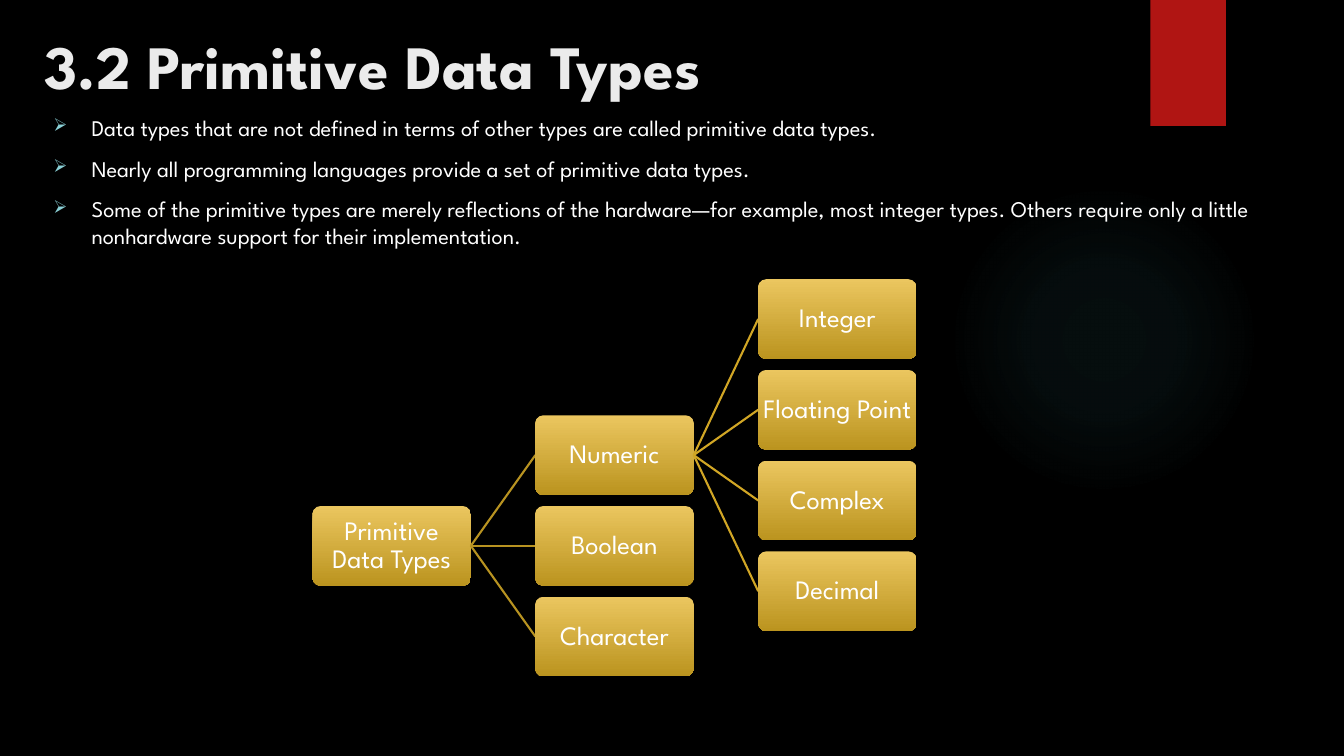
"""Build a slide on primitive data types with a tree of boxes."""
import pptx
import pptx.util
import pptx.dml.color
import pptx.enum.shapes
import pptx.enum.text
import pptx.oxml
import pptx.oxml.ns

Inches = pptx.util.Inches
Pt = pptx.util.Pt
Kind = pptx.enum.shapes.MSO_SHAPE
Align = pptx.enum.text.PP_ALIGN
Anchor = pptx.enum.text.MSO_ANCHOR
NS = pptx.oxml.ns.nsdecls("a")

POINTS = [
    "Data types that are not defined in terms of other types are called primitive data types.",
    "Nearly all programming languages provide a set of primitive data types.",
    "Some of the primitive types are merely reflections of the hardware—for example, most integer "
    "types. Others require only a little nonhardware support for their implementation.",
]
TREE = ("Primitive Data Types", [
    ("Numeric", [("Integer", []), ("Floating Point", []), ("Complex", []), ("Decimal", [])]),
    ("Boolean", []),
    ("Character", []),
])


def color(hue):
    return pptx.dml.color.RGBColor.from_string(hue)


def write(para, text, size=16, hue="FFFFFF", bold=False, align=Align.LEFT, lead=None, before=0):
    para.alignment = align
    para.line_spacing = lead
    para.space_before = Pt(before)
    run = para.add_run()
    run.text = text
    font = run.font
    font.name, font.size, font.bold = "League Spartan", Pt(size), bold
    font.color.rgb = color(hue)


class Deck:
    wide, high = 1.57, 0.79
    step, pitch = 2.21, 0.9
    gold = [(0, "EBC65F", 100), (100, "BB941F", 100)]
    lines = ["B89321", "D1A625"]

    def __init__(self):
        self.file = pptx.Presentation()
        self.file.slide_width = Inches(13.33)
        self.file.slide_height = Inches(7.5)
        self.slide = self.file.slides.add_slide(self.file.slide_layouts[5])
        back = self.slide.background.fill
        back.solid()
        back.fore_color.rgb = color("000000")

    def shape(self, kind, x, y, w, h):
        item = self.slide.shapes.add_shape(kind, Inches(x), Inches(y), Inches(w), Inches(h))
        item.shadow.inherit = False
        item.line.fill.background()
        return item

    def blend(self, item, stops, shade):
        marks = "".join(
            f'<a:gs pos="{pos * 1000}"><a:srgbClr val="{hue}"><a:alpha val="{alpha * 1000}"/>'
            "</a:srgbClr></a:gs>" for pos, hue, alpha in stops)
        grad = pptx.oxml.parse_xml(
            f'<a:gradFill {NS} rotWithShape="1"><a:gsLst>{marks}</a:gsLst>{shade}</a:gradFill>')
        item._element.spPr.find(pptx.oxml.ns.qn("a:prstGeom")).addnext(grad)

    def glow(self, x, y, size):
        item = self.shape(Kind.OVAL, x, y, size, size)
        stops = [(0, "50B9C1", 7), (36, "50B9C1", 6), (69, "50B9C1", 0)]
        self.blend(item, stops, '<a:path path="circle"><a:fillToRect l="50000" t="50000" '
                                'r="50000" b="50000"/></a:path>')

    def flag(self, x, y, w, h):
        item = self.shape(Kind.RECTANGLE, x, y, w, h)
        item.fill.solid()
        item.fill.fore_color.rgb = color("B01513")

    def title(self, text, x, y, w, h):
        item = self.slide.shapes.title
        item.left, item.top, item.width, item.height = map(Inches, (x, y, w, h))
        frame = item.text_frame
        frame.auto_size = pptx.enum.text.MSO_AUTO_SIZE.NONE
        frame.vertical_anchor = Anchor.TOP
        write(frame.paragraphs[0], text, size=44, hue="EBEBEB", bold=True)

    def points(self, texts, x, y, w, h):
        frame = self.slide.shapes.add_textbox(*map(Inches, (x, y, w, h))).text_frame
        frame.word_wrap = True
        for num, text in enumerate(texts):
            para = frame.add_paragraph() if num else frame.paragraphs[0]
            write(para, text, before=10)
            props = para._p.get_or_add_pPr()
            props.set("marL", str(Inches(0.38)))
            props.set("indent", str(Inches(-0.38)))
            for mark in ('buClr {}><a:srgbClr val="8AD0D6"/></a:buClr>',
                         'buSzPct {} val="80000"/>', 'buChar {} char="➢"/>'):
                props.append(pptx.oxml.parse_xml("<a:" + mark.format(NS)))

    def box(self, text, x, y):
        item = self.shape(Kind.ROUNDED_RECTANGLE, x, y, self.wide, self.high)
        item.adjustments[0] = 0.1
        self.blend(item, self.gold, '<a:lin ang="5400000" scaled="0"/>')
        frame = item.text_frame
        frame.word_wrap = True
        frame.vertical_anchor = Anchor.MIDDLE
        frame.margin_left = frame.margin_right = Inches(0.01)
        frame.margin_top = frame.margin_bottom = Inches(0.01)
        write(frame.paragraphs[0], text, size=19, align=Align.CENTER, lead=0.9)

    def link(self, x, y, end, stop, hue):
        item = self.slide.shapes.add_connector(
            pptx.enum.shapes.MSO_CONNECTOR.STRAIGHT, *map(Inches, (x, y, end, stop)))
        item.line.color.rgb = color(hue)
        item.line.width = Pt(1.5)
        item._element.spPr.append(pptx.oxml.parse_xml(f"<a:effectLst {NS}/>"))

    def tree(self, node, x, y, depth=0):
        text, kids = node
        self.box(text, x, y)
        mid = self.high / 2
        for num, kid in enumerate(kids):
            top = y + (num - (len(kids) - 1) / 2) * self.pitch
            self.link(x + self.wide, y + mid, x + self.step, top + mid, self.lines[depth])
            self.tree(kid, x + self.step, top, depth + 1)


def main():
    deck = Deck()
    deck.glow(9.41, 1.83, 3.08)
    deck.flag(11.41, 0, 0.75, 1.25)
    deck.title("3.2 Primitive Data Types", 0.34, 0.23, 10.29, 1.53)
    deck.points(POINTS, 0.43, 1.08, 12.29, 5.75)
    deck.tree(TREE, 3.1, 5.02)
    deck.file.save("out.pptx")


if __name__ == "__main__":
    main()
